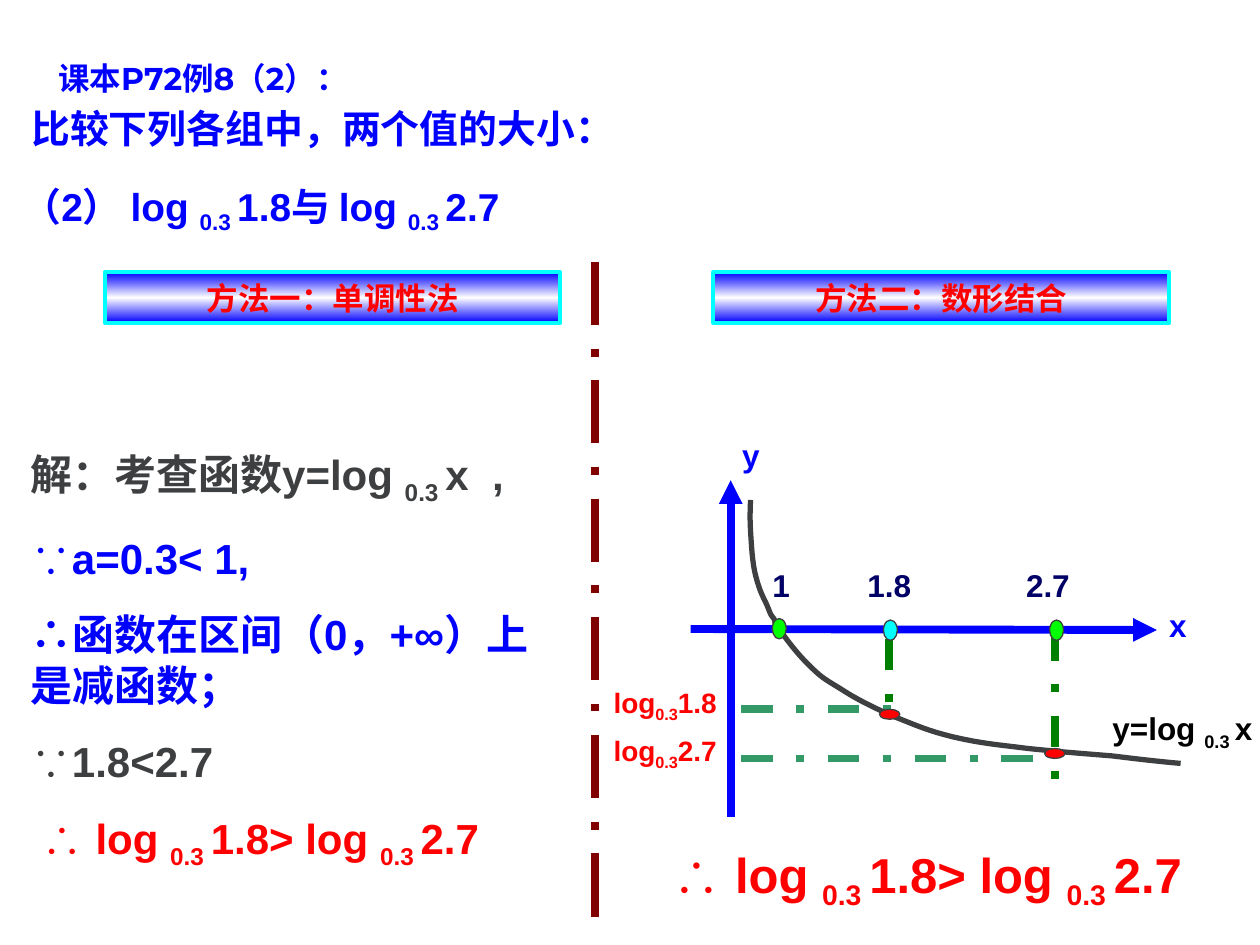
"""Build a slide comparing two logarithms by monotonicity and by graph."""
from copy import deepcopy
from itertools import chain

from lxml.etree import SubElement
from pptx import Presentation
from pptx.dml.color import RGBColor
from pptx.enum.dml import MSO_LINE
from pptx.enum.shapes import MSO_CONNECTOR, MSO_SHAPE
from pptx.enum.text import MSO_ANCHOR, MSO_AUTO_SIZE, PP_ALIGN
from pptx.oxml.ns import qn
from pptx.util import Cm, Pt

THEME = {
    "blue": "0000FF", "navy": "000066", "red": "FF0000", "gray": "3D3F41",
    "black": "000000", "white": "FFFFFF", "cyan": "00FFFF", "lime": "00FF00",
    "green": "008000", "teal": "339966", "maroon": "800000",
    "font": "Arial", "title_font": "Montserrat",
    "question": 22.2, "solution": 24, "label": 18, "value": 16, "conclusion": 28,
}

TITLE = "课本P72例8（2）："
QUESTION = [
    (" 比较下列各组中，两个值的大小：", "blue"),
    ("（2） log _0.3 _1.8与 log _0.3 _2.7", "blue"),
]
SOLUTION = [
    ("解：考查函数y=log _0.3 _x  ,", "gray"),
    ("∵a=0.3< 1,", "blue"),
    ("∴函数在区间（0，+∞）上是减函数；", "blue"),
    ("∵1.8<2.7", "gray"),
    (" ∴ log _0.3 _1.8> log _0.3 _2.7", "red"),
]
CONCLUSION = [("∴ log _0.3 _1.8> log _0.3 _2.7", "red")]
METHODS = [("方法一：单调性法", 2.11), ("方法二：数形结合", 14.38)]
LABELS = [
    ("x", "blue", "label", (22.73, 12.09, 2.03, 1.02)),
    ("y", "blue", "label", (14.12, 8.66, 2.03, 1.02)),
    ("1", "navy", "label", (14.73, 11.28, 2.03, 1.02)),
    ("1.8", "navy", "label", (16.92, 11.28, 2.01, 1.02)),
    ("2.7", "navy", "label", (20.12, 11.28, 2.01, 1.02)),
    ("y=log _0.3 _x", "black", "label", (22.12, 14.17, 3.43, 1.12)),
    ("log_0.3_1.8", "red", "value", (11.71, 13.69, 3.4, 1.04)),
    ("log_0.3_2.7", "red", "value", (11.71, 14.66, 3.4, 1.04)),
]
DIVIDER = (11.99, 5.28, 11.99, 18.67)
AXES = [(13.92, 12.68, 23.32, 12.7), (14.73, 16.46, 14.73, 9.68)]
GUIDES = [
    ("green", (17.93, 12.88, 17.93, 14.48)),
    ("green", (21.26, 12.68, 21.26, 15.7)),
    ("teal", (14.94, 14.3, 18.14, 14.3)),
    ("teal", (14.94, 15.29, 21.13, 15.29)),
]
DOTS = [
    ("red", (17.73, 14.3, 0.41, 0.2)),
    ("red", (21.06, 15.09, 0.41, 0.2)),
    ("lime", (15.57, 12.47, 0.28, 0.41)),
    ("cyan", (17.81, 12.5, 0.28, 0.41)),
    ("lime", (21.16, 12.5, 0.28, 0.41)),
]
CURVE_START = (15.13, 10.08)
CURVE = [
    ((15.13, 10.19), (15.11, 10.36), (15.13, 10.69)),
    ((15.15, 11), (15.16, 11.33), (15.24, 11.63)),
    ((15.32, 11.94), (15.39, 12.04), (15.47, 12.22)),
    ((15.54, 12.4), (15.54, 12.4), (15.6, 12.47)),
    ((15.65, 12.57), (15.57, 12.52), (15.72, 12.7)),
    ((15.85, 12.88), (16.05, 13.16), (16.31, 13.41)),
    ((16.54, 13.64), (16.59, 13.67), (16.92, 13.87)),
    ((17.27, 14.1), (17.58, 14.25), (18.03, 14.45)),
    ((18.49, 14.63), (18.69, 14.73), (19.23, 14.86)),
    ((19.79, 14.99), (20.09, 15.01), (20.73, 15.09)),
    ((21.39, 15.16), (21.82, 15.19), (22.43, 15.24)),
    ((23.06, 15.32), (23.55, 15.37), (23.8, 15.39)),
]


def color(name):
    """Return a theme colour."""
    return RGBColor.from_string(THEME[name])


def place(shape, box):
    """Move and size a shape to a box in centimetres."""
    shape.left, shape.top, shape.width, shape.height = map(Cm, box)


def write(shape, lines, size="label", font="font", align=PP_ALIGN.LEFT, before=0,
          spacing=None, hanging=None, fit=MSO_AUTO_SIZE.SHAPE_TO_FIT_TEXT):
    """Fill a shape with (text, colour) lines; underscores enclose subscripts."""
    frame = shape.text_frame
    frame.word_wrap, frame.auto_size = True, fit
    for index, (text, ink) in enumerate(lines):
        paragraph = frame.add_paragraph() if index else frame.paragraphs[0]
        paragraph.alignment = align
        paragraph.space_before = Pt(before if index else 0)
        if spacing:
            paragraph.line_spacing = spacing
        if hanging:
            properties = paragraph._p.get_or_add_pPr()
            properties.set("marL", str(Cm(hanging)))
            properties.set("indent", str(-Cm(hanging)))
            SubElement(properties, qn("a:buNone"))
        for position, piece in enumerate(text.split("_")):
            run = paragraph.add_run()
            run.text = piece
            run.font.name, run.font.size = THEME[font], Pt(THEME[size])
            run.font.bold, run.font.color.rgb = True, color(ink)
            if position % 2:
                run._r.get_or_add_rPr().set("baseline", "-25000")


def add_text(slide, box, lines, **formats):
    """Add a text box."""
    write(slide.shapes.add_textbox(*map(Cm, box)), lines, **formats)


def add_line(slide, ends, ink, dash=None, arrow=False):
    """Add a straight line between two points."""
    connector = slide.shapes.add_connector(MSO_CONNECTOR.STRAIGHT, *map(Cm, ends))
    connector.line.color.rgb, connector.line.width = color(ink), Pt(4.5)
    if dash:
        connector.line.dash_style = dash
    if arrow:
        SubElement(connector.line._get_or_add_ln(), qn("a:tailEnd"), type="triangle")
    SubElement(connector._element.spPr, qn("a:effectLst"))


def add_preset(slide, preset, box, outline, width):
    """Add an outlined preset shape without a shadow."""
    shape = slide.shapes.add_shape(preset, *map(Cm, box))
    shape.shadow.inherit = False
    shape.line.color.rgb, shape.line.width = color(outline), Pt(width)
    return shape


def add_method(slide, text, left):
    """Add a method heading with a blue, white, blue gradient."""
    shape = add_preset(slide, MSO_SHAPE.RECTANGLE, (left, 5.49, 9.19, 1.02), "cyan", 2.25)
    shape.fill.gradient()
    shape.fill.gradient_angle = 90
    stop_list = shape._element.spPr.find(qn("a:gradFill")).find(qn("a:gsLst"))
    stop_list.append(deepcopy(stop_list[0]))
    for stop, ink, position in zip(shape.fill.gradient_stops, ("blue", "white", "blue"), (0, 0.5, 1)):
        stop.color.rgb, stop.position = color(ink), position
    write(shape, [(text, "red")], align=PP_ALIGN.CENTER)


def bezier(start, first, second, end, steps=8):
    """Return points along one cubic curve."""
    points = []
    for step in range(1, steps + 1):
        t = step / steps
        weights = ((1 - t) ** 3, 3 * t * (1 - t) ** 2, 3 * t * t * (1 - t), t ** 3)
        points.append(tuple(Cm(sum(w * v for w, v in zip(weights, values)))
                            for values in zip(start, first, second, end)))
    return points


def add_curve(slide):
    """Draw the logarithm graph."""
    starts = [CURVE_START] + [segment[-1] for segment in CURVE[:-1]]
    points = chain.from_iterable(bezier(start, *segment) for start, segment in zip(starts, CURVE))
    builder = slide.shapes.build_freeform(*map(Cm, CURVE_START))
    builder.add_line_segments(list(points), close=False)
    curve = builder.convert_to_shape()
    curve.shadow.inherit = False
    curve.fill.background()
    curve.line.color.rgb, curve.line.width = color("gray"), Pt(3)


def main():
    """Assemble and save the slide."""
    presentation = Presentation()
    presentation.slide_width, presentation.slide_height = Cm(25.4), Cm(19.05)
    slide = presentation.slides.add_slide(presentation.slide_layouts[1])

    title, body = slide.shapes.title, slide.placeholders[1]
    place(title, (0.38, 0.94, 11.61, 1.14))
    frame = title.text_frame
    frame.vertical_anchor = MSO_ANCHOR.MIDDLE
    frame.margin_left, frame.margin_top = Cm(0.79), Cm(0.2)
    frame.margin_right = frame.margin_bottom = 0
    write(title, [(TITLE, "blue")], font="title_font", spacing=0.9, fit=MSO_AUTO_SIZE.NONE)
    place(body, (0.2, 2.08, 13.69, 2.97))
    write(body, QUESTION, size="question", align=PP_ALIGN.JUSTIFY, before=18,
          spacing=0.9, hanging=1, fit=MSO_AUTO_SIZE.NONE)

    add_text(slide, (0.36, 8.92, 11.2, 8.76), SOLUTION, size="solution", before=15)
    for text, left in METHODS:
        add_method(slide, text, left)
    add_line(slide, DIVIDER, "maroon", dash=MSO_LINE.LONG_DASH_DOT)
    for ends in AXES:
        add_line(slide, ends, "blue", arrow=True)
    for ink, ends in GUIDES:
        add_line(slide, ends, ink, dash=MSO_LINE.DASH_DOT)
    for text, ink, size, box in LABELS:
        add_text(slide, box, [(text, ink)], size=size, align=PP_ALIGN.CENTER)
    add_curve(slide)
    for ink, box in DOTS:
        dot = add_preset(slide, MSO_SHAPE.OVAL, box, "gray", 0.75)
        dot.fill.solid()
        dot.fill.fore_color.rgb = color(ink)
    add_text(slide, (13.31, 16.89, 11.4, 1.6), CONCLUSION, size="conclusion")
    presentation.save("out.pptx")


if __name__ == "__main__":
    main()
